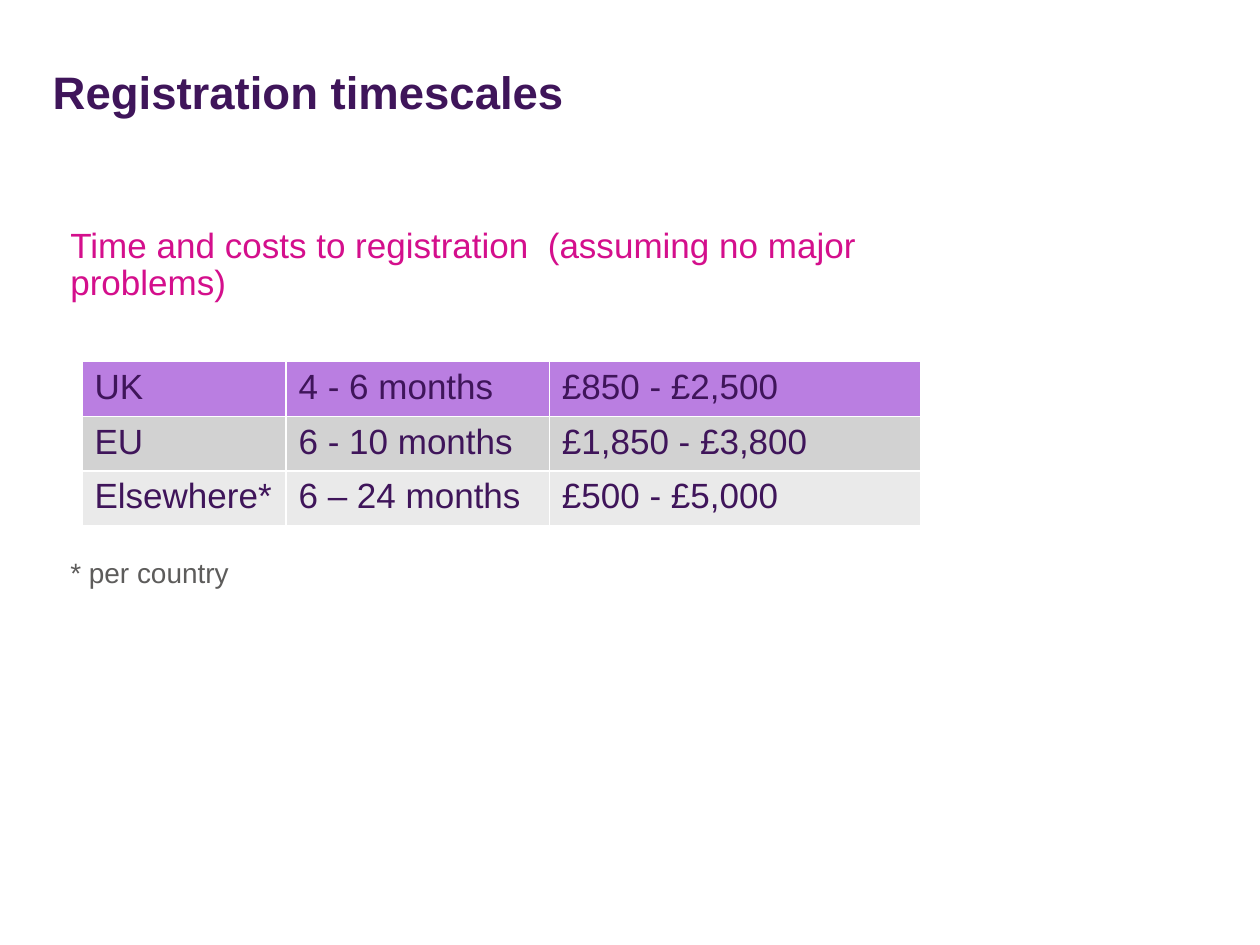
from dataclasses import dataclass

from lxml.etree import SubElement
from pptx import Presentation
from pptx.dml.color import RGBColor as RGB
from pptx.oxml.ns import qn
from pptx.util import Inches, Pt


@dataclass(frozen=True)
class Theme:
    """Colours, font and type sizes of the slide."""
    font: str = "Arial"
    dark: str = "3F155A"
    accent: str = "D40F8C"
    muted: str = "5D5C5B"
    border: str = "FFFFFF"
    row_fills: tuple = ("BA7EE1", "D2D2D2", "EAEAEA")
    title: int = 26
    body: int = 20
    note: int = 16


THEME = Theme()
ROWS = (
    ("UK", "4 - 6 months", "£850 - £2,500"),
    ("EU", "6 - 10 months", "£1,850 - £3,800"),
    ("Elsewhere*", "6 – 24 months", "£500 - £5,000"),
)
COLUMN_WIDTHS = (1.62, 2.09, 2.95)


def add_run(p, text, size, color, bold=False):
    """Append a styled run to a paragraph."""
    r = p.add_run()
    r.text = text
    r.font.name = THEME.font
    r.font.size = Pt(size)
    r.font.bold = bold
    r.font.color.rgb = RGB.from_string(color)


def add_text(s, box, text, size, color, spacing, bold=False):
    """Place one wrapped paragraph in the given box."""
    tf = s.shapes.add_textbox(*map(Inches, box)).text_frame
    tf.word_wrap = True
    p = tf.paragraphs[0]
    p.line_spacing = spacing
    add_run(p, text, size, color, bold)


def add_borders(cell):
    """Draw a thin line on all four sides of a cell."""
    tc_pr = cell._tc.get_or_add_tcPr()
    for i, side in enumerate(("lnL", "lnR", "lnT", "lnB")):
        ln = SubElement(tc_pr, qn(f"a:{side}"), w=str(Pt(1)))
        tc_pr.insert(i, ln)
        fill = SubElement(ln, qn("a:solidFill"))
        SubElement(fill, qn("a:srgbClr"), val=THEME.border)


def add_cost_table(s, box):
    """Place the table of registration times and costs in the given box."""
    shape = s.shapes.add_table(len(ROWS), len(COLUMN_WIDTHS), *map(Inches, box))
    table = shape.table
    table.first_row = table.horz_banding = False
    for column, width in zip(table.columns, COLUMN_WIDTHS):
        column.width = Inches(width)
    for row, values, color in zip(table.rows, ROWS, THEME.row_fills):
        for cell, value in zip(row.cells, values):
            cell.fill.solid()
            cell.fill.fore_color.rgb = RGB.from_string(color)
            add_borders(cell)
            add_run(cell.text_frame.paragraphs[0], value, THEME.body, THEME.dark)


def build_slide(prs):
    """Add the registration timescales slide."""
    s = prs.slides.add_slide(prs.slide_layouts[6])
    add_text(s, (0.32, 0.43, 7.12, 1.05), "Registration timescales",
             THEME.title, THEME.dark, Pt(33), bold=True)
    add_text(s, (0.46, 1.76, 7.38, 0.8),
             "Time and costs to registration  (assuming no major problems)",
             THEME.body, THEME.accent, 0.9)
    add_cost_table(s, (0.65, 2.87, 6.66, 1.3))
    add_text(s, (0.46, 4.39, 7.38, 0.4), "* per country",
             THEME.note, THEME.muted, 0.9)


def main():
    """Build and save the presentation."""
    prs = Presentation()
    prs.slide_width, prs.slide_height = Inches(10), Inches(7.5)
    build_slide(prs)
    prs.save("out.pptx")


if __name__ == "__main__":
    main()
